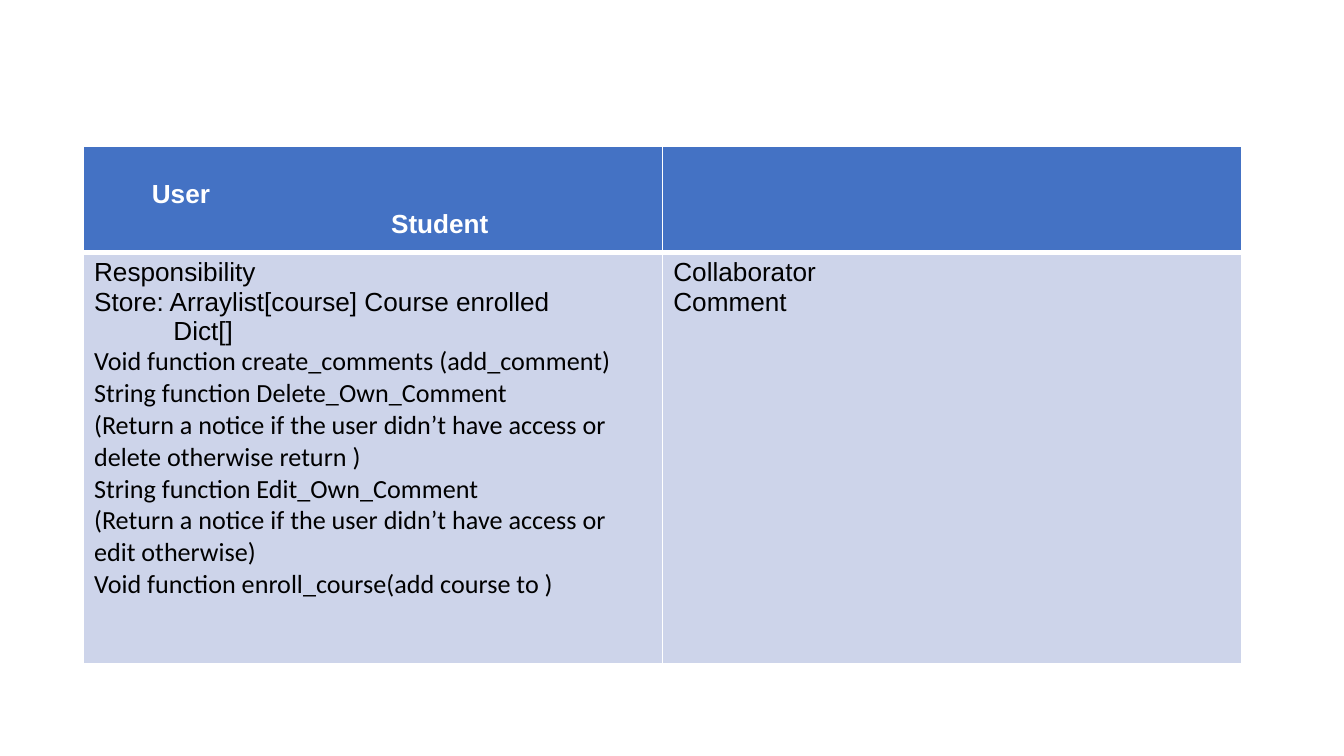
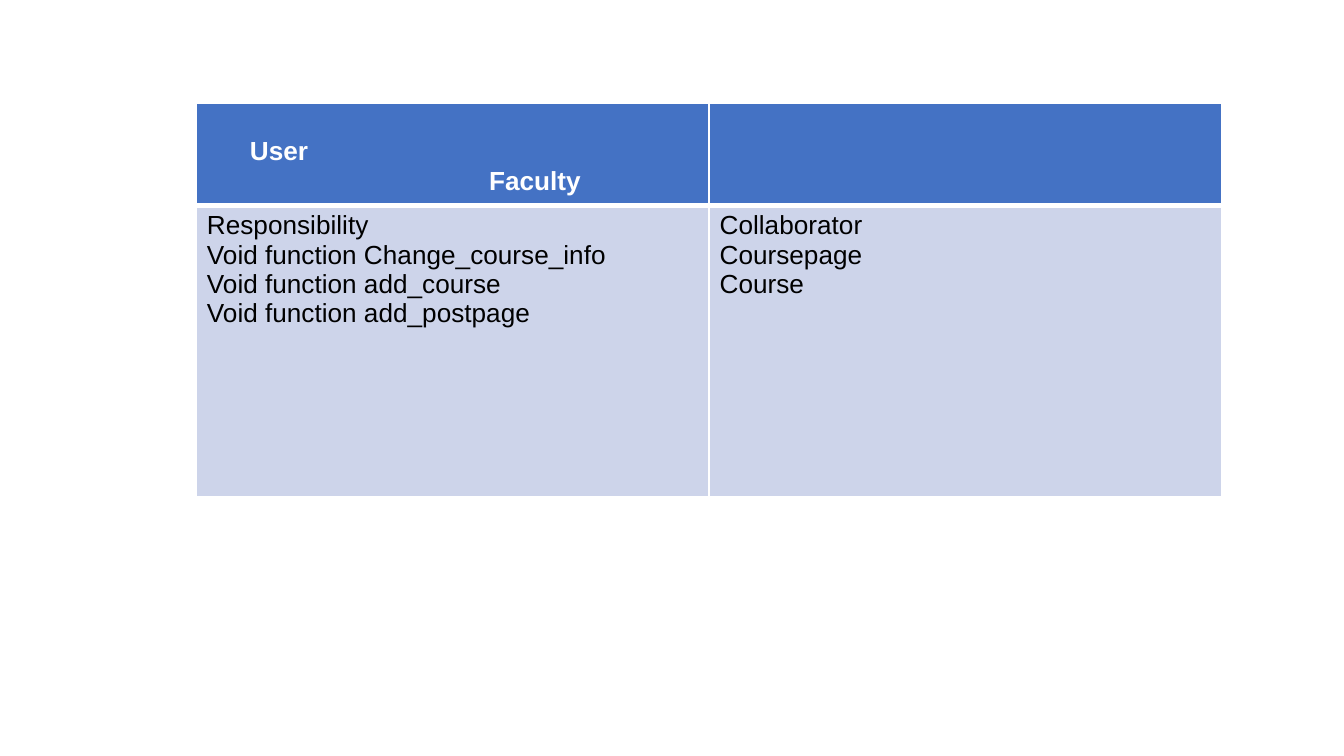
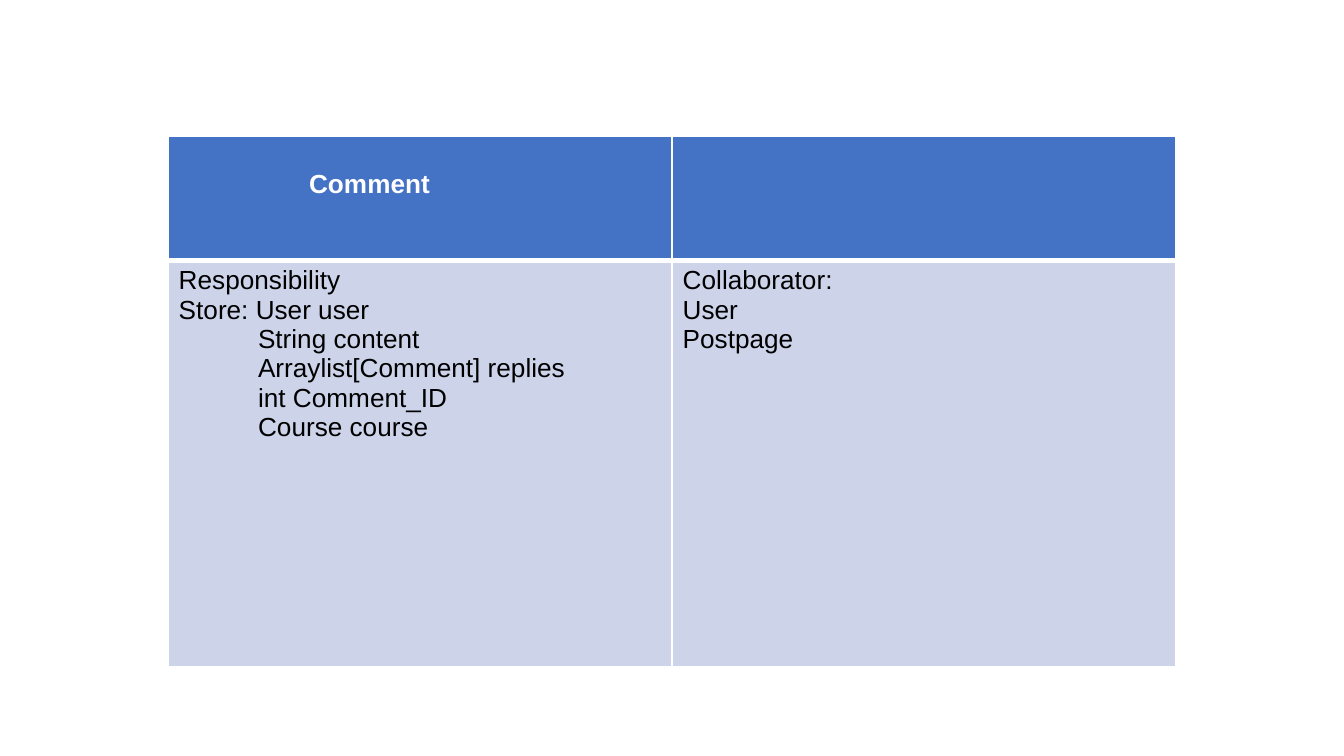
from dataclasses import dataclass

from lxml.etree import SubElement
from pptx import Presentation
from pptx.dml.color import RGBColor
from pptx.oxml.ns import qn
from pptx.util import Inches, Pt

WHITE, BLACK = "FFFFFF", "000000"
HEADER_BLUE, BODY_BLUE = "4472C4", "CDD4EA"
FONT_SIZE = Pt(14)
THIN, THICK = Pt(1), Pt(3)
TEXT_SIDE, TEXT_TOP = 0.08, 0.04
TITLE_TOP = 0.25  # the class name starts one line down
FIELD_INDENT = 0.59


@dataclass
class Line:
    text: str
    indent: float = 0
    font: str = "Arial"


def field(text):
    return Line(text, FIELD_INDENT)


def method(text):
    return Line(text, font="Calibri")


def rgb(hex_color):
    return RGBColor.from_string(hex_color)


def style_cell(cell, fill, top, bottom):
    """Draw the white borders, then the fill, which must follow them in the XML."""
    properties = cell._tc.get_or_add_tcPr()
    for side, width in (("L", THIN), ("R", THIN), ("T", top), ("B", bottom)):
        border = SubElement(properties, qn(f"a:ln{side}"), w=str(int(width)))
        SubElement(SubElement(border, qn("a:solidFill")), qn("a:srgbClr"), val=WHITE)
    cell.fill.solid()
    cell.fill.fore_color.rgb = rgb(fill)
    cell.margin_left = cell.margin_right = Inches(TEXT_SIDE)
    cell.margin_top = cell.margin_bottom = Inches(TEXT_TOP)


def write_lines(cell, lines, color, bold):
    cell.text_frame.text = "\n".join(line.text for line in lines)
    for paragraph, line in zip(cell.text_frame.paragraphs, lines):
        if line.indent:
            paragraph._p.get_or_add_pPr().set("marL", str(int(Inches(line.indent))))
        for run in paragraph.runs:
            run.font.name = line.font
            run.font.size = FONT_SIZE
            run.font.bold = bold
            run.font.color.rgb = rgb(color)


def add_class_card(prs, box, header_height, names, responsibilities, collaborators):
    """Add a slide with one class-responsibility-collaborator table."""
    left, top, width, height = box
    slide = prs.slides.add_slide(prs.slide_layouts[6])
    card = slide.shapes.add_table(
        2, 2, Inches(left), Inches(top), Inches(width), Inches(height)).table
    card.rows[0].height = Inches(header_height)
    card.rows[1].height = Inches(height - header_height)

    for column in range(2):
        style_cell(card.cell(0, column), HEADER_BLUE, THIN, THICK)
        style_cell(card.cell(1, column), BODY_BLUE, THICK, THIN)

    title = card.cell(0, 0)
    title.margin_top = Inches(TITLE_TOP)
    write_lines(title, names, WHITE, True)
    write_lines(card.cell(1, 0), responsibilities, BLACK, False)
    write_lines(card.cell(1, 1), [Line(name) for name in collaborators], BLACK, False)


def main():
    prs = Presentation()
    prs.slide_width = Inches(10)
    prs.slide_height = prs.slide_width * 9 // 16

    add_class_card(
        prs, (0.62, 1.09, 8.62, 3.85), 0.79,
        [Line("User", 0.43), Line("Student", 2.21)],
        [
            Line("Responsibility"),
            Line("Store: Arraylist[course] Course enrolled"),
            field("Dict[]"),
            method("Void function create_comments (add_comment)"),
            method("String function Delete_Own_Comment"),
            method("(Return a notice if the user didn’t have access or "
                   "delete otherwise return )"),
            method("String function Edit_Own_Comment"),
            method("(Return a notice if the user didn’t have access or edit otherwise)"),
            method("Void function enroll_course(add course to )"),
        ],
        ["Collaborator", "Comment"],
    )
    add_class_card(
        prs, (1.46, 0.77, 7.63, 2.93), 0.76,
        [Line("User", 0.32), Line("Faculty", 2.1)],
        [
            Line("Responsibility"),
            Line("Void function Change_course_info"),
            Line("Void function add_course"),
            Line("Void function add_postpage"),
        ],
        ["Collaborator", "Coursepage", "Course"],
    )
    add_class_card(
        prs, (1.25, 1.01, 7.5, 3.95), 0.93,
        [Line("Comment", 0.97)],
        [
            Line("Responsibility"),
            Line("Store: User user"),
            field("String content"),
            field("Arraylist[Comment] replies"),
            field("int Comment_ID"),
            field("Course course"),
        ],
        ["Collaborator:", "User", "Postpage"],
    )
    prs.save("out.pptx")


if __name__ == "__main__":
    main()
